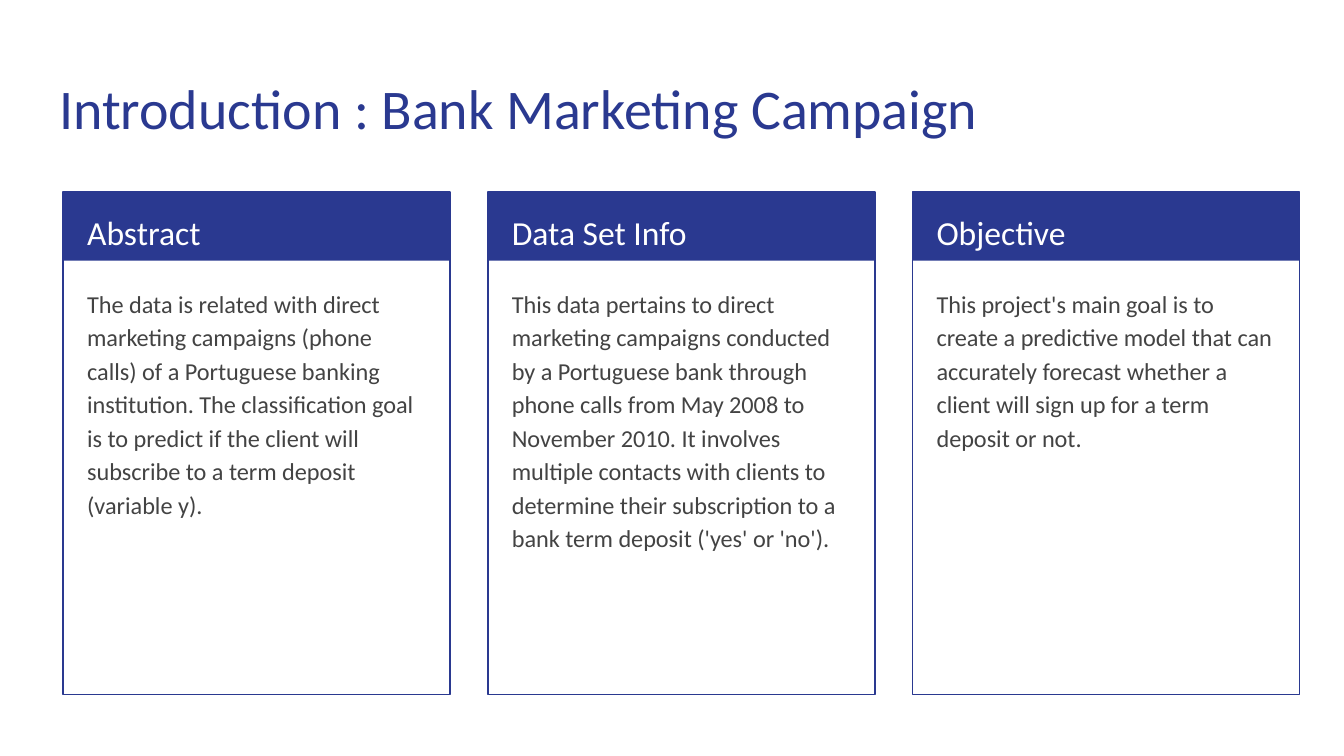
from dataclasses import dataclass

from pptx import Presentation, util as u
from pptx.dml.color import RGBColor
from pptx.enum import shapes, text

FONT = "Calibri"
BLUE, WHITE, GREY = "2A3990", "FFFFFF", "434343"
SLIDE_W = 10
LEFT, TOP, PITCH = 0.47, 1.43, 3.16
CARD_W, CARD_H, HEADER_H = 2.88, 3.74, 0.51


@dataclass
class Card:
    """A headed column of text."""
    heading: str
    body: str


CARDS = [
    Card("Abstract",
         "The data is related with direct marketing campaigns (phone calls) of a "
         "Portuguese banking institution. The classification goal is to predict if "
         "the client will subscribe to a term deposit (variable y)."),
    Card("Data Set Info",
         "This data pertains to direct marketing campaigns conducted by a Portuguese "
         "bank through phone calls from May 2008 to November 2010. It involves "
         "multiple contacts with clients to determine their subscription to a bank "
         "term deposit ('yes' or 'no')."),
    Card("Objective",
         "This project's main goal is to create a predictive model that can "
         "accurately forecast whether a client will sign up for a term deposit or not."),
]


def rgb(value: str) -> RGBColor:
    """Turn a hex string into a colour."""
    return RGBColor.from_string(value)


def place(sp, x: float, y: float, w: float, h: float) -> None:
    """Set position and size in inches."""
    sp.left, sp.top, sp.width, sp.height = map(u.Inches, (x, y, w, h))


def write(sp, words: str, size: float, color: str, spacing: float = 1.0, after: float = 0) -> None:
    """Fill a shape with one left-aligned paragraph."""
    tf = sp.text_frame
    tf.text = words
    tf.word_wrap = True
    tf.auto_size = text.MSO_AUTO_SIZE.NONE
    tf.vertical_anchor = text.MSO_ANCHOR.TOP
    tf.margin_left = tf.margin_right = tf.margin_top = tf.margin_bottom = u.Inches(0.1)
    p = tf.paragraphs[0]
    p.alignment = text.PP_ALIGN.LEFT
    p.line_spacing = spacing
    p.space_before, p.space_after = u.Pt(0), u.Pt(after)
    r = p.runs[0]
    r.font.name, r.font.size = FONT, u.Pt(size)
    r.font.color.rgb = rgb(color)


def add_rect(s, x: float, y: float, w: float, h: float, filled: bool) -> None:
    """Draw a blue rectangle, either filled or outlined."""
    sp = s.shapes.add_shape(shapes.MSO_SHAPE.RECTANGLE, *map(u.Inches, (x, y, w, h)))
    sp.shadow.inherit = False
    if filled:
        sp.fill.solid()
        sp.fill.fore_color.rgb = rgb(BLUE)
        sp.line.fill.background()
    else:
        sp.fill.background()
        sp.line.color.rgb = rgb(BLUE)
        sp.line.width = u.Pt(0.75)


def add_text(s, x: float, y: float, w: float, h: float, words: str, size: float,
             color: str, after: float = 0) -> None:
    """Add a text box."""
    sp = s.shapes.add_textbox(*map(u.Inches, (x, y, w, h)))
    write(sp, words, size, color, 1.15, after)


def add_card(s, card: Card, x: float) -> None:
    """Draw one card with its header band, outline and texts."""
    add_rect(s, x, TOP, CARD_W, HEADER_H, True)
    add_rect(s, x, TOP, CARD_W, CARD_H, False)
    add_text(s, x + 0.08, TOP, 2.73, 0.5, card.heading, 18, WHITE)
    add_text(s, x + 0.08, 2.02, 2.71, 3.06, card.body, 13, GREY, 16)


def main() -> None:
    """Build and save the slide."""
    prs = Presentation()
    prs.slide_width, prs.slide_height = u.Inches(SLIDE_W), u.Inches(SLIDE_W * 9 / 16)
    s = prs.slides.add_slide(prs.slide_layouts[5])
    place(s.shapes.title, 0.34, 0.45, 9.32, 0.66)
    write(s.shapes.title, "Introduction : Bank Marketing Campaign", 30, BLUE)
    for i, card in enumerate(CARDS):
        add_card(s, card, LEFT + i * PITCH)
    prs.save("out.pptx")


if __name__ == "__main__":
    main()
